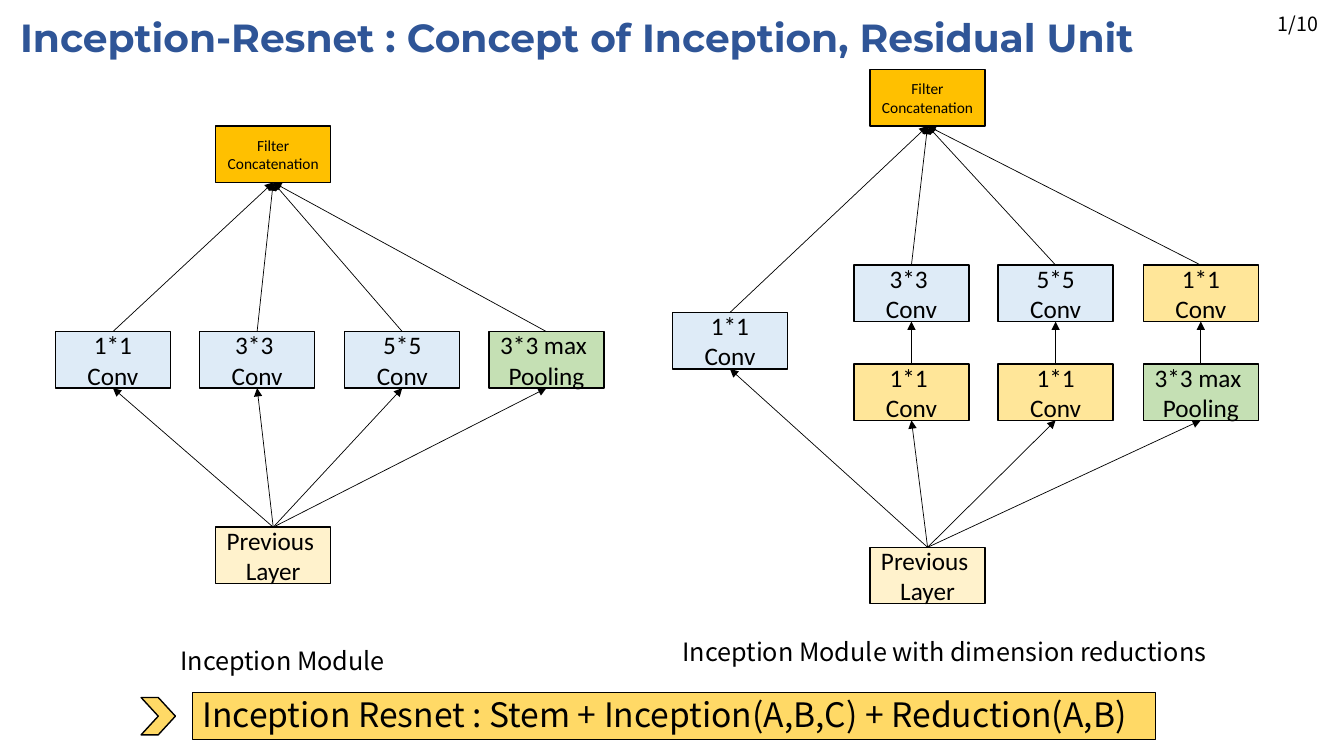
from lxml.etree import SubElement
from pptx import Presentation
from pptx.dml.color import RGBColor
from pptx.enum.shapes import MSO_CONNECTOR as Connector, MSO_SHAPE as Shape
from pptx.enum.text import MSO_ANCHOR as Anchor, MSO_AUTO_SIZE as AutoSize, PP_ALIGN as Align
from pptx.oxml.ns import qn
from pptx.util import Pt

PX = 9144
PAGE_WIDTH, PAGE_HEIGHT = 1333, 750
NODE_WIDTH, NODE_HEIGHT = 114, 56
COLUMN_STEP = 143.4
TOP, BOTTOM = 0, 2

BLACK = RGBColor(0x00, 0x00, 0x00)
NAVY = RGBColor(0x2F, 0x55, 0x97)
CREAM = RGBColor(0xFF, 0xF2, 0xCC)
BLUE = RGBColor(0xDE, 0xEB, 0xF7)
GREEN = RGBColor(0xC5, 0xE0, 0xB4)
AMBER = RGBColor(0xFF, 0xC0, 0x00)
YELLOW = RGBColor(0xFF, 0xE6, 0x99)
GOLD = RGBColor(0xFF, 0xD9, 0x66)

BODY_FONT = "Noto Sans CJK KR"
NODE_FONT = "Calibri"
TITLE_FONT = "Montserrat"


def emu(*lengths):
    return [length * PX for length in lengths]


def write(frame, lines, size, font=BODY_FONT, color=BLACK, bold=False,
          align=Align.LEFT, anchor=Anchor.BOTTOM, spacing=None):
    frame.word_wrap = True
    frame.vertical_anchor = anchor
    for index, line in enumerate(lines):
        para = frame.add_paragraph() if index else frame.paragraphs[0]
        para.alignment = align
        para.line_spacing = spacing
        span = para.add_run()
        span.text = line
        span.font.size = Pt(size)
        span.font.name = font
        span.font.bold = bold
        span.font.color.rgb = color


def add_text(page, box, line, size, **style):
    frame = page.shapes.add_textbox(*emu(*box)).text_frame
    write(frame, [line], size, **style)
    return frame


def add_block(page, kind, box, fill, weight=1):
    block = page.shapes.add_shape(kind, *emu(*box))
    block.shadow.inherit = False
    block.fill.solid()
    block.fill.fore_color.rgb = fill
    block.line.color.rgb = BLACK
    block.line.width = Pt(weight)
    return block


def add_node(page, left, top, lines, fill, size=18):
    node = add_block(page, Shape.RECTANGLE, (left, top, NODE_WIDTH, NODE_HEIGHT), fill)
    write(node.text_frame, lines, size, font=NODE_FONT,
          align=Align.CENTER, anchor=Anchor.MIDDLE)
    return node


def add_arrow(page, source, target):
    arrow = page.shapes.add_connector(Connector.STRAIGHT, 0, 0, 0, 0)
    arrow.begin_connect(source, TOP)
    arrow.end_connect(target, BOTTOM)
    arrow.line.color.rgb = BLACK
    arrow.line.width = Pt(0.5)
    SubElement(arrow.line._get_or_add_ln(), qn("a:tailEnd"), type="triangle")
    SubElement(arrow._element.spPr, qn("a:effectLst"))


def add_module(page, left, top, hub, depth, branches, caption, caption_box):
    previous = add_node(page, left + hub, top + depth, ["Previous ", "Layer"], CREAM)
    joined = add_node(page, left + hub, top, ["Filter", "Concatenation"], AMBER, 11)
    for offset, layers in branches:
        chain = [previous]
        for drop, name, kind, fill in layers:
            chain.append(add_node(page, left + offset, top + drop, [name, kind], fill))
        chain.append(joined)
        for source, target in zip(chain, chain[1:]):
            add_arrow(page, source, target)
    x, y, width, height = caption_box
    add_text(page, (left + x, top + y, width, height), caption, 18, spacing=0.9)


def add_heading(page, left, top, width, height):
    title = add_text(page, (left, top, width, height),
                     "Inception-Resnet : Concept of Inception, Residual Unit", 28,
                     font=TITLE_FONT, color=NAVY, bold=True, anchor=Anchor.TOP)
    title.auto_size = AutoSize.SHAPE_TO_FIT_TEXT
    add_text(page, (left + width + 1, top - 3, 75, 35), "1/10", 14,
             align=Align.CENTER, spacing=0.9)


def add_summary(page, left, top, width, height):
    add_block(page, Shape.CHEVRON, (left, top + 5, 34, height - 10), GOLD)
    banner = add_block(page, Shape.RECTANGLE, (left + 51, top, width - 51, height), GOLD, 0.75)
    write(banner.text_frame,
          ["Inception Resnet : Stem + Inception(A,B,C) + Reduction(A,B)"], 24, spacing=0.9)


def column(start, index):
    return start + round(index * COLUMN_STEP)


def main():
    deck = Presentation()
    deck.slide_width, deck.slide_height = emu(PAGE_WIDTH, PAGE_HEIGHT)
    page = deck.slides.add_slide(deck.slide_layouts[6])

    plain_layers = [("1*1", "Conv", BLUE), ("3*3 ", "Conv", BLUE),
                    ("5*5", "Conv", BLUE), ("3*3 max ", "Pooling", GREEN)]
    plain = [(column(0, index), [(204, *layer)])
             for index, layer in enumerate(plain_layers)]

    stacked_layers = [
        (("1*1 ", "Conv", YELLOW), ("3*3 ", "Conv", BLUE)),
        (("1*1", "Conv", YELLOW), ("5*5", "Conv", BLUE)),
        (("3*3 max ", "Pooling", GREEN), ("1*1", "Conv", YELLOW)),
    ]
    reduced = [(0, [(241, "1*1", "Conv", BLUE)])]
    reduced += [(column(180, index), [(292, *lower), (194, *upper)])
                for index, (lower, upper) in enumerate(stacked_layers)]

    add_heading(page, 10, 8, 1239, 57)
    add_module(page, 55, 125, 159, 398, plain,
               "Inception Module", (114, 515, 234, 36))
    add_module(page, 667, 69, 196, 474, reduced,
               "Inception Module with dimension reductions", (0, 562, 582, 36))
    add_summary(page, 140, 687, 1006, 47)
    deck.save("out.pptx")


if __name__ == "__main__":
    main()
